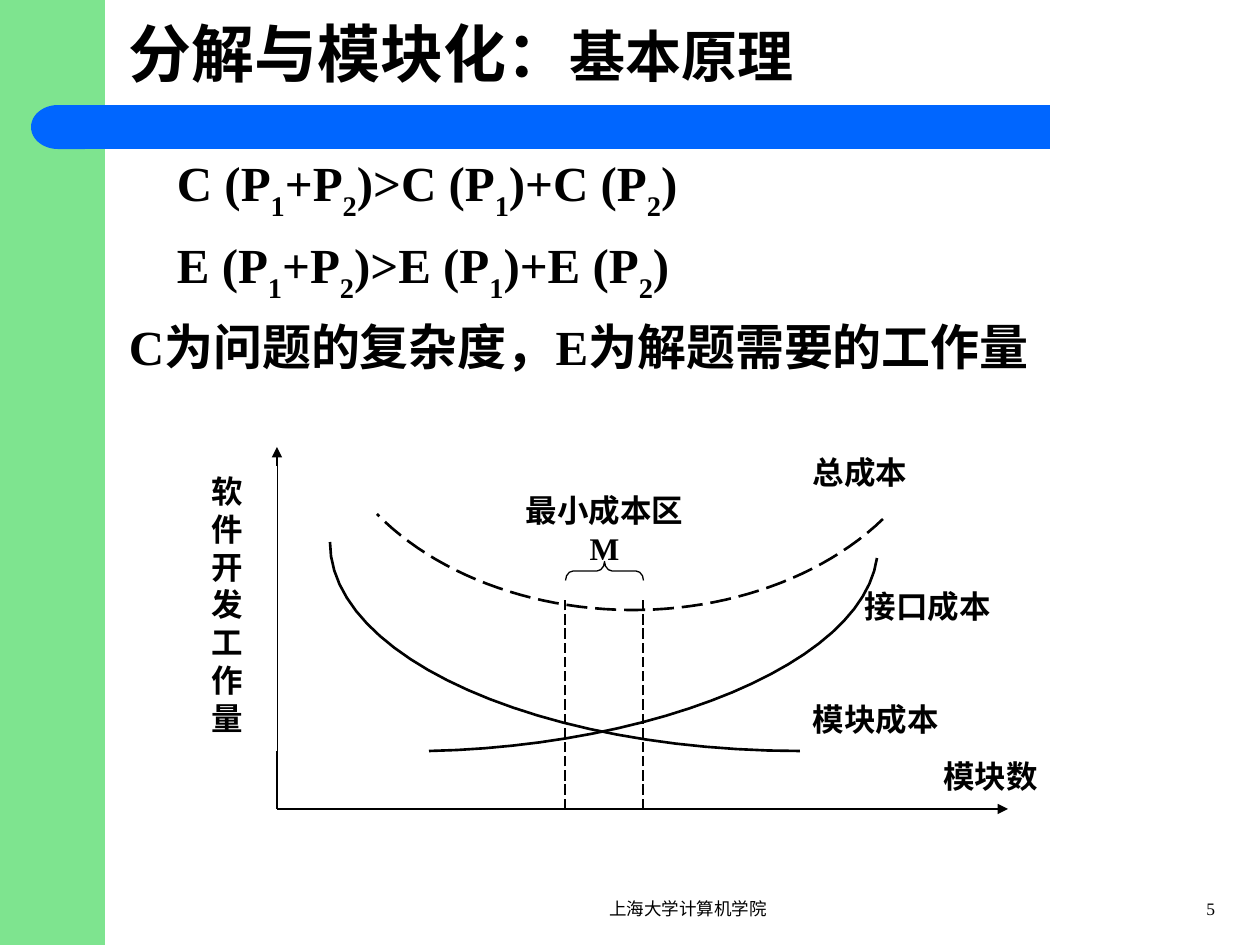
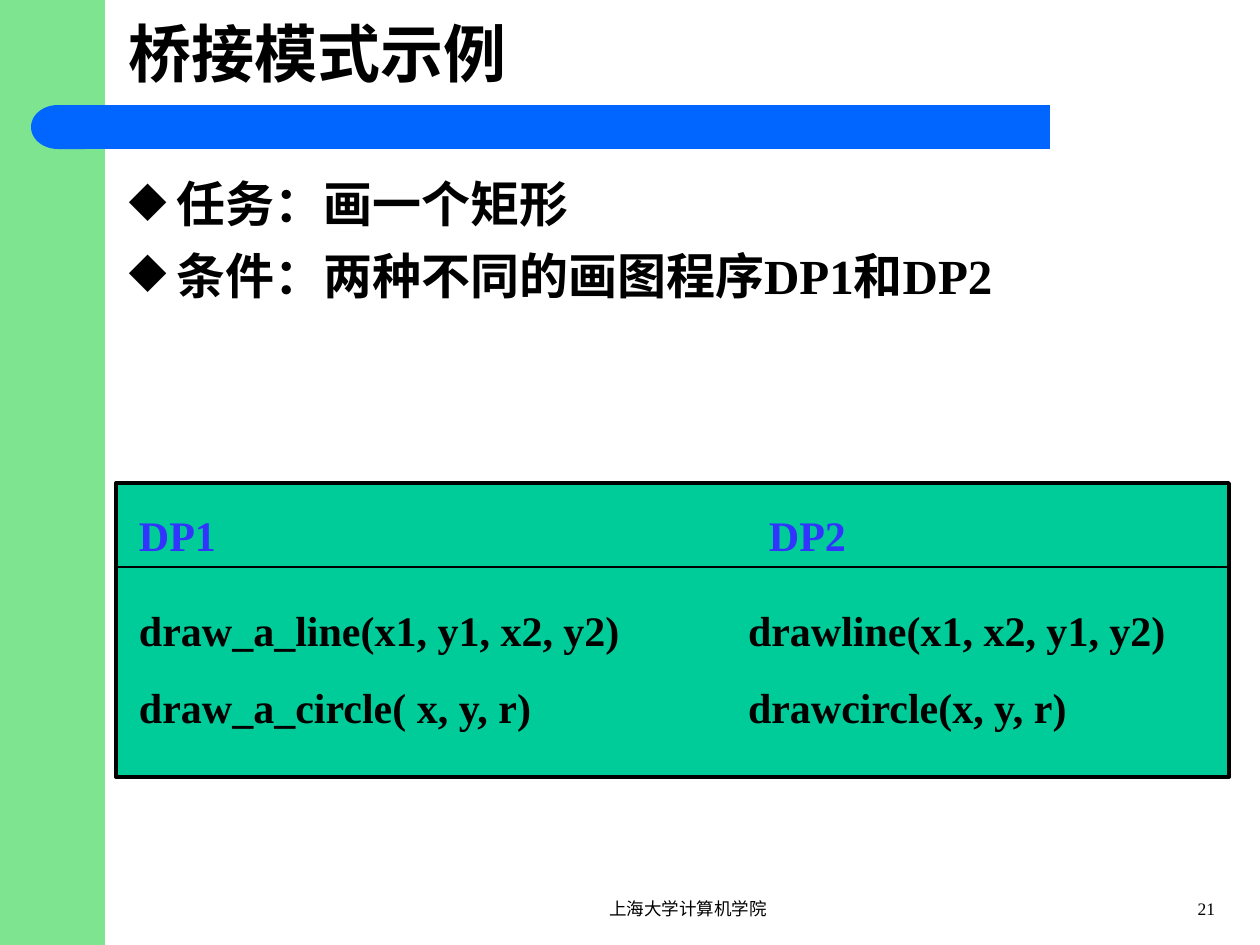
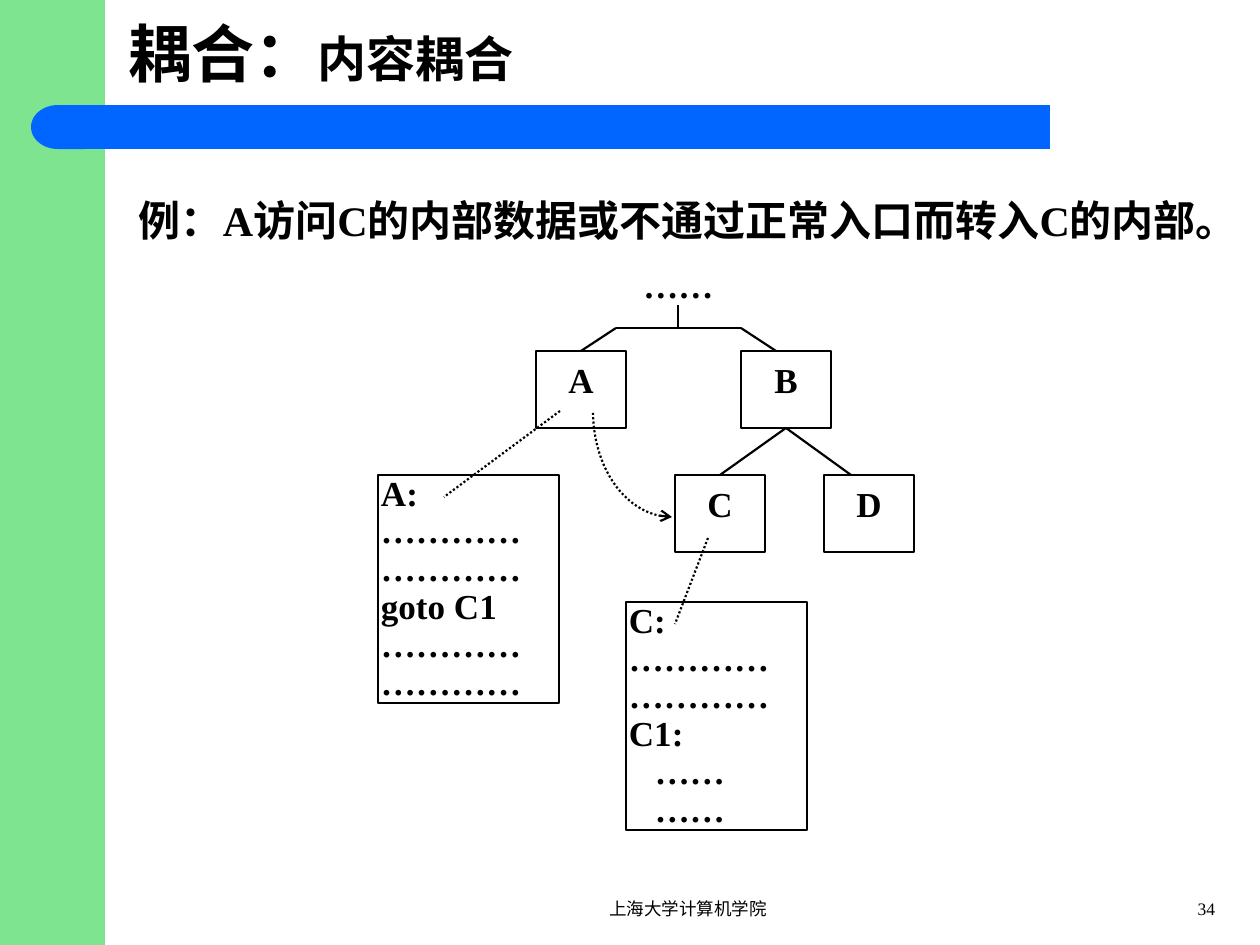
from dataclasses import dataclass
from itertools import groupby
from typing import Any

from lxml.etree import SubElement
from pptx import Presentation
from pptx.dml.color import RGBColor
from pptx.enum.dml import MSO_LINE
from pptx.enum.lang import MSO_LANGUAGE_ID
from pptx.enum.shapes import MSO_CONNECTOR, MSO_SHAPE
from pptx.enum.text import MSO_ANCHOR, MSO_AUTO_SIZE, PP_ALIGN
from pptx.oxml.ns import qn
from pptx.util import Pt

SCALE = 914400 / 126


@dataclass(frozen=True)
class Theme:
    font: str = "Times New Roman"
    ink: str = "000000"
    paper: str = "FFFFFF"
    side: str = "7EE48F"
    bar: str = "0066FF"
    panel: str = "00CC99"
    head: str = "3333FF"
    title: int = 36
    sub: int = 32
    body: int = 28
    code: int = 24
    node: int = 20
    label: int = 18
    foot: int = 10
    thin: float = 0.75
    link: float = 1.25
    curve: float = 1.5
    edge: float = 2.25


THEME = Theme()
PAD = (13, 6, 13, 6)


def emu(px):
    return round(px * SCALE)


def style(run, size, color=THEME.ink, bold=True):
    font = run.font
    font.name, font.size, font.bold = THEME.font, Pt(size), bold
    font.color.rgb = RGBColor.from_string(color)
    font.language_id = MSO_LANGUAGE_ID.SIMPLIFIED_CHINESE


def write(shape, text, size, color=THEME.ink, bold=True, align=PP_ALIGN.LEFT,
          pad=PAD, before=0, spacing=None):
    frame = shape.text_frame
    frame.word_wrap = True
    frame.auto_size = MSO_AUTO_SIZE.NONE
    frame.vertical_anchor = MSO_ANCHOR.TOP
    (frame.margin_left, frame.margin_top,
     frame.margin_right, frame.margin_bottom) = map(emu, pad)
    frame.text = text
    for par in frame.paragraphs:
        par.alignment = align
        par.space_before = Pt(before)
        if spacing:
            par.line_spacing = spacing
        for run in par.runs:
            style(run, size, color, bold)
    return frame


def indent(par, left, first=0):
    props = par._p.get_or_add_pPr()
    props.set("marL", str(emu(left)))
    props.set("indent", str(emu(first)))
    return props


def bullet(par, mark):
    props = indent(par, 48, -48)
    SubElement(props, qn("a:buChar")).set("char", mark)


def tab(par, pos):
    stops = SubElement(par._p.get_or_add_pPr(), qn("a:tabLst"))
    stop = SubElement(stops, qn("a:tab"))
    stop.set("pos", str(emu(pos)))
    stop.set("algn", "l")


def stroke(line, width, dash=None, head=None, tail=None):
    line.color.rgb = RGBColor.from_string(THEME.ink)
    line.width = Pt(width)
    if dash:
        line.dash_style = dash
    for end, kind in (("a:headEnd", head), ("a:tailEnd", tail)):
        if kind:
            SubElement(line._get_or_add_ln(), qn(end)).set("type", kind)


@dataclass
class Area:
    """A region of a slide whose parts are placed from its top left corner."""
    slide: Any
    x: int
    y: int

    def box(self, x, y, w, h):
        return [emu(v) for v in (self.x + x, self.y + y, w, h)]

    def shape(self, kind, box, fill=None, width=0):
        item = self.slide.shapes.add_shape(kind, *self.box(*box))
        item.shadow.inherit = False
        if fill:
            item.fill.solid()
            item.fill.fore_color.rgb = RGBColor.from_string(fill)
        else:
            item.fill.background()
        if width:
            stroke(item.line, width)
        else:
            item.line.fill.background()
        return item

    def rect(self, box, fill=THEME.paper, width=0):
        return self.shape(MSO_SHAPE.RECTANGLE, box, fill, width)

    def text(self, box, words, size, **look):
        item = self.slide.shapes.add_textbox(*self.box(*box))
        return write(item, words, size, **look)

    def line(self, start, end, width, **look):
        ends = self.box(*start, 0, 0)[:2] + self.box(*end, 0, 0)[:2]
        item = self.slide.shapes.add_connector(MSO_CONNECTOR.STRAIGHT, *ends)
        SubElement(item._element.spPr, qn("a:effectLst"))
        stroke(item.line, width, **look)
        return item

    def curve(self, knots, width, **look):
        """Draw a chain of cubic arcs; every third knot lies on the curve."""
        spots = [self.box(*knot, 0, 0)[:2] for knot in knots]
        dots = []
        for i in range(0, len(spots) - 1, 3):
            arc = spots[i:i + 4]
            dots += [bezier(arc, step / 24) for step in range(1, 25)]
        pen = self.slide.shapes.build_freeform(*spots[0])
        pen.add_line_segments(dots, close=False)
        item = pen.convert_to_shape()
        item.shadow.inherit = False
        item.fill.background()
        stroke(item.line, width, **look)


def bezier(arc, t):
    rates = ((1 - t) ** 3, 3 * t * (1 - t) ** 2, 3 * t * t * (1 - t), t ** 3)
    return [round(sum(r * spot[axis] for r, spot in zip(rates, arc)))
            for axis in (0, 1)]


def bands(slide, layout):
    """Draw the shared bands and move them to the layout."""
    area = Area(slide, 0, 0)
    cap = area.shape(MSO_SHAPE.FLOWCHART_DELAY, (31, 105, 54, 44), THEME.bar)
    cap.rotation = 180
    parts = (area.rect((0, 0, 105, 945), THEME.side),
             area.rect((84, 105, 966, 44), THEME.bar), cap)
    for place, part in enumerate(parts, 2):
        layout.shapes.element.insert(place, part._element)


def heading(slide, parts):
    title = slide.shapes.title
    title.left, title.top, title.width, title.height = map(
        emu, (116, 0, 1092, 105))
    frame = write(title, "", THEME.title)
    frame.vertical_anchor = MSO_ANCHOR.MIDDLE
    for words, size in parts:
        run = frame.paragraphs[0].add_run()
        run.text = words
        style(run, size)


def footer(slide, number):
    area = Area(slide, 473, 892)
    area.text((0, 0, 430, 32), "上海大学计算机学院", THEME.foot,
              bold=False, align=PP_ALIGN.CENTER)
    area.text((661, 0, 94, 32), str(number), THEME.foot,
              bold=False, align=PP_ALIGN.RIGHT)


def formulas(area):
    frame = area.text((0, 0, 1124, 260),
                      "\n\nC为问题的复杂度，E为解题需要的工作量",
                      THEME.body, before=7)
    for par, name in zip(frame.paragraphs, "CE"):
        indent(par, 48)
        rule = f"{name} (P1+P2)>{name} (P1)+{name} (P2)"
        for low, part in groupby(rule, str.isdigit):
            run = par.add_run()
            run.text = "".join(part)
            style(run, THEME.body)
            if low:
                run.font._element.set("baseline", "-30000")


def costs(area):
    """Draw the cost curves over the number of modules."""
    def label(box, words, align=PP_ALIGN.JUSTIFY):
        write(area.rect(box), words, THEME.label, align=align)

    label((731, 304, 183, 57), "模块数")
    label((653, 134, 183, 57), "接口成本")
    label((236, 38, 339, 95), "最小成本区\nM", PP_ALIGN.CENTER)
    area.line((78, 0), (78, 362), THEME.thin, head="triangle")
    area.line((78, 362), (809, 362), THEME.thin, tail="triangle")
    for x in (366, 444):
        area.line((x, 362), (x, 153), THEME.thin, dash=MSO_LINE.LONG_DASH)
    brace = area.shape(MSO_SHAPE.LEFT_BRACE, (396, 85, 19, 78),
                       width=THEME.thin)
    brace.adjustments[0] = 0.4
    brace.rotation = 90
    total = ((684, 72), (624, 130), (529, 164), (430, 163),
             (329, 162), (236, 126), (178, 67))
    module = ((601, 304), (342, 304), (131, 211), (131, 95))
    joint = (678, 111), (663, 217), (456, 299), (230, 304)
    area.curve(total, THEME.curve, dash=MSO_LINE.LONG_DASH)
    area.curve(module, THEME.curve)
    area.curve(joint, THEME.curve)
    label((0, 19, 78, 285), "软件开发工\n作\n量")
    label((601, 0, 183, 57), "总成本")
    label((601, 247, 183, 57), "模块成本")


def tasks(area):
    frame = area.text((0, 0, 1144, 252),
                      "任务：画一个矩形\n条件：两种不同的画图程序DP1和DP2",
                      THEME.body, before=7)
    for par in frame.paragraphs:
        bullet(par, "◆")


def calls(area):
    """Set the calls of both drawing programs side by side."""
    area.rect((0, 0, 1113, 294), THEME.panel, THEME.edge)
    area.line((0, 84), (1113, 84), THEME.curve)
    rows = ("draw_a_line(x1, y1, x2, y2)\tdrawline(x1, x2, y1, y2)\n"
            "draw_a_circle( x, y, r)\tdrawcircle(x, y, r)")
    for top, high, words, color, stop in (
            (116, 140, rows, THEME.ink, 609),
            (21, 63, "DP1\tDP2", THEME.head, 630)):
        frame = area.text((10, top, 1103, high), words, THEME.code,
                          color=color, before=15)
        for par in frame.paragraphs:
            tab(par, stop)


def example(area):
    frame = area.text((0, 0, 1103, 113),
                      "例：A访问C的内部数据或不通过正常入口而转入C的内部。",
                      THEME.code)
    indent(frame.paragraphs[0], 118, -118)


def listing(area, x, y, words):
    item = area.rect((x, y, 181, 228), width=THEME.link)
    return write(item, words, THEME.node, align=PP_ALIGN.JUSTIFY,
                 pad=(3, 1, 3, 1), spacing=0.9)


def tree(area):
    """Draw the module tree with the code of A and C."""
    def link(start, end, **look):
        return area.line(start, end, THEME.link, **look)

    area.text((238, 0, 125, 47), "……", THEME.node,
              align=PP_ALIGN.CENTER, pad=(8, 1, 8, 1))
    link((300, 43), (300, 66))
    link((238, 66), (363, 66))
    nodes = {}
    for name, x, y in (("A", 158, 89), ("B", 363, 89),
                       ("C", 297, 213), ("D", 446, 213)):
        nodes[name] = area.rect((x, y, 90, 77), width=THEME.link)
        write(nodes[name], name, THEME.node, align=PP_ALIGN.CENTER,
              pad=(3, 8, 3, 3))
    link((238, 66), (203, 89)).end_connect(nodes["A"], 0)
    link((363, 66), (398, 89))
    left = link((408, 166), (342, 213))
    left.begin_connect(nodes["B"], 2)
    left.end_connect(nodes["C"], 0)
    link((408, 166), (473, 213)).begin_connect(nodes["B"], 2)
    dots = MSO_LINE.ROUND_DOT
    area.curve(((294, 255), (250, 255), (215, 208), (215, 149)),
               THEME.link, dash=dots, head="arrow")
    gap = "…………\n…………"
    listing(area, 0, 213, f"A:\n{gap}\ngoto C1\n{gap}")
    link((182, 149), (66, 235), dash=dots)
    frame = listing(area, 248, 340, f"C:\n{gap}\nC1:\n……\n……")
    for par in frame.paragraphs[-2:]:
        indent(par, 26)
    link((330, 276), (297, 362), dash=dots)


def main():
    deck = Presentation()
    deck.slide_width, deck.slide_height = emu(1260), emu(945)
    layout = deck.slide_layouts[5]
    pages = (
        (5, (("分解与模块化：", THEME.title), ("基本原理", THEME.sub)),
         ((formulas, 116, 147), (costs, 199, 447))),
        (21, (("桥接模式示例", THEME.title),),
         ((tasks, 116, 168), (calls, 116, 483))),
        (34, (("耦合：", THEME.title), ("内容耦合", THEME.body)),
         ((example, 126, 189), (tree, 378, 262))),
    )
    for number, title, regions in pages:
        slide = deck.slides.add_slide(layout)
        if len(deck.slides) == 1:
            bands(slide, layout)
        heading(slide, title)
        for draw, x, y in regions:
            draw(Area(slide, x, y))
        footer(slide, number)
    deck.save("out.pptx")


if __name__ == "__main__":
    main()
